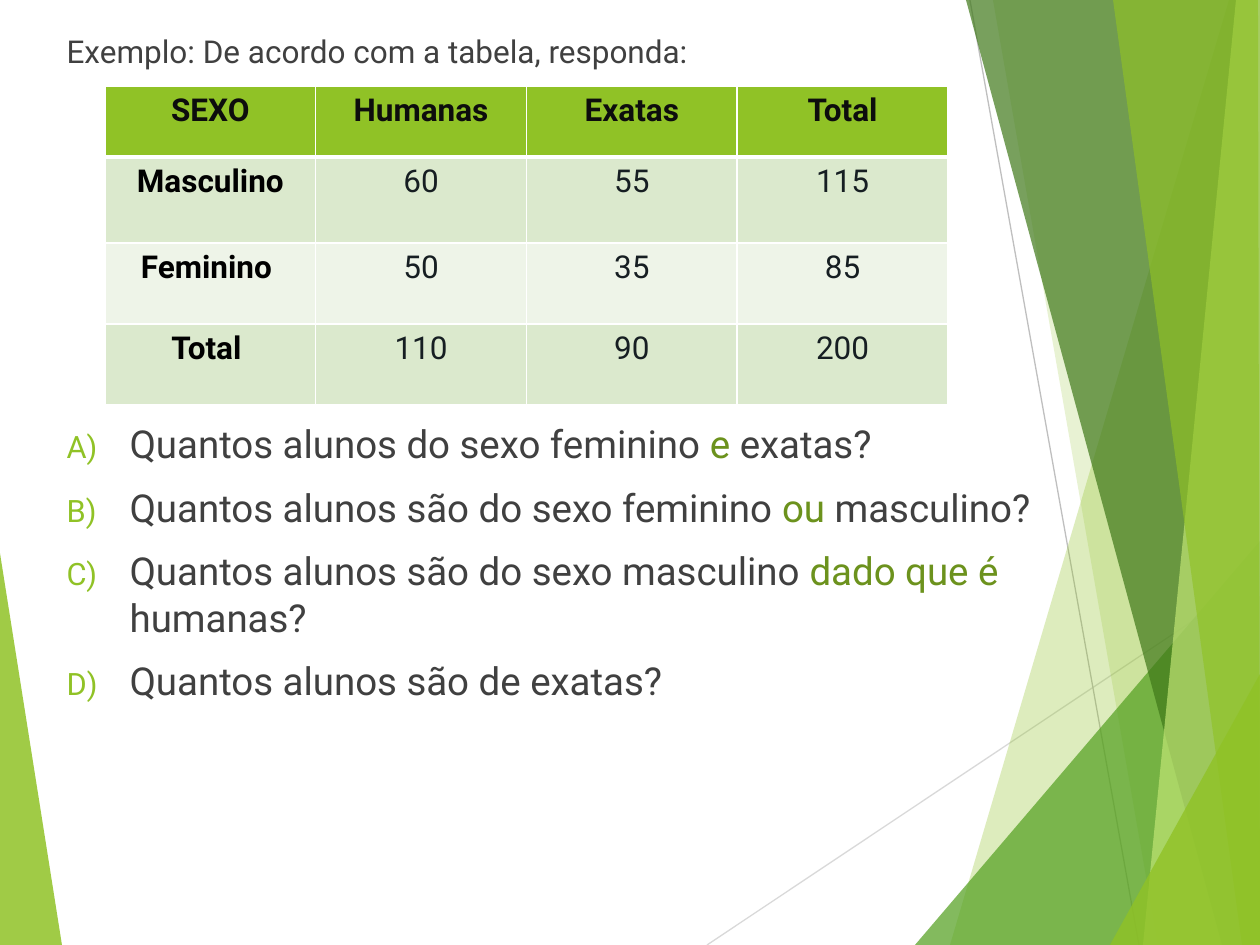
from dataclasses import dataclass

from lxml.etree import SubElement
from pptx import Presentation
from pptx.dml.color import RGBColor
from pptx.enum.shapes import MSO_CONNECTOR as Connector
from pptx.enum.text import MSO_AUTO_SIZE as AutoSize, PP_ALIGN as Align
from pptx.oxml.ns import qn
from pptx.util import Emu, Pt

SCALE = 914400 / 126


@dataclass(frozen=True)
class Theme:
    """Colours, font and type sizes of the slide."""
    font: str = "Roboto"
    green: str = "90C226"
    leaf: str = "54A021"
    forest: str = "3F7819"
    lime: str = "C0E474"
    accent: str = "6C921D"
    body: str = "404040"
    header: str = "0D0D0D"
    label: str = "000000"
    value: str = "161E22"
    band_dark: str = "DBE9CD"
    band_light: str = "EEF4E8"
    border: str = "FFFFFF"
    line_light: str = "D9D9D9"
    line_dark: str = "BFBFBF"
    small: int = 18
    large: int = 22
    space: int = 10


@dataclass(frozen=True)
class Box:
    """A region of the slide in px."""
    left: int
    top: int
    width: int
    height: int


THEME = Theme()
SLIDE = Box(0, 0, 1260, 945)
BODY = Box(54, 26, 1081, 762)
TABLE = Box(105, 86, 843, 319)

LEFT_BLADE = [((0, 553), (62, 945), (0, 945), THEME.green, 85)]
RIGHT_BLADES = [
    ((1229, 0), (950, 945), (1260, 945), (1260, 0), THEME.green, 30),
    ((993, 0), (1158, 945), (1260, 945), (1260, 0), THEME.green, 20),
    ((915, 945), (1260, 541), (1260, 945), THEME.leaf, 72),
    ((966, 0), (1222, 945), (1260, 945), (1260, 0), THEME.forest, 70),
    ((1236, 0), (1143, 945), (1260, 945), (1260, 0), THEME.lime, 70),
    ((1113, 0), (1242, 945), (1260, 945), (1258, 0), THEME.green, 65),
    ((1110, 945), (1260, 674), (1260, 945), THEME.green, 80),
]
RAYS = [(707, 945, 1260, 576, THEME.line_light), (970, 0, 1139, 945, THEME.line_dark)]

ROWS = [
    ("SEXO", "Humanas", "Exatas", "Total"),
    ("Masculino", "60", "55", "115"),
    ("Feminino ", "50", "35", "85"),
    ("Total ", "110", "90", "200"),
]
ROW_HEIGHTS = (71, 86, 81, 81)
INTRO = "Exemplo: De acordo com a tabela, responda:"
QUESTIONS = [
    ("Quantos alunos do sexo feminino ", "e", " exatas?"),
    ("Quantos alunos são do sexo feminino ", "ou ", "masculino?"),
    ("Quantos alunos são do sexo masculino ", "dado que é", " humanas?"),
    ("Quantos alunos são de exatas?",),
]
TABLE_GAP = 200


def px(length):
    """Turn px into EMU."""
    return Emu(round(length * SCALE))


def style(span, size, color, bold=False):
    """Format one run."""
    span.font.name = THEME.font
    span.font.size = Pt(size)
    span.font.bold = bold
    span.font.color.rgb = RGBColor.from_string(color)


def add_blades(page, box, blades):
    """Draw translucent polygons relative to the box."""
    for *points, color, opacity in blades:
        builder = page.shapes.build_freeform(*points[0], scale=SCALE)
        builder.add_line_segments(points[1:], close=True)
        blade = builder.convert_to_shape(px(box.left), px(box.top))
        blade.shadow.inherit = False
        blade.line.fill.background()
        blade.fill.solid()
        blade.fill.fore_color.rgb = RGBColor.from_string(color)
        tint = blade.element.spPr.find(qn("a:solidFill")).find(qn("a:srgbClr"))
        SubElement(tint, qn("a:alpha"), val=str(opacity * 1000))


def add_rays(page, box):
    """Draw the thin straight lines relative to the box."""
    for x1, y1, x2, y2, color in RAYS:
        ray = page.shapes.add_connector(
            Connector.STRAIGHT, px(box.left + x1), px(box.top + y1),
            px(box.left + x2), px(box.top + y2))
        ray.line.color.rgb = RGBColor.from_string(color)
        ray.line.width = Pt(0.75)
        SubElement(ray.element.spPr, qn("a:effectLst"))


def set_bullet(para, numbered):
    """Letter a paragraph, or remove its bullet."""
    props = para._p.get_or_add_pPr()
    indent = px(63) if numbered else 0
    props.set("marL", str(indent))
    props.set("indent", str(-indent))
    if not numbered:
        SubElement(props, qn("a:buNone"))
        return
    color = SubElement(props, qn("a:buClr"))
    SubElement(color, qn("a:srgbClr"), val=THEME.green)
    SubElement(props, qn("a:buSzPct"), val="80000")
    SubElement(props, qn("a:buFont"), typeface=THEME.font)
    SubElement(props, qn("a:buAutoNum"), type="alphaUcParenR")


def fill_body(body, box):
    """Place the body placeholder and write the intro and questions."""
    body.left, body.top = px(box.left), px(box.top)
    body.width, body.height = px(box.width), px(box.height)
    frame = body.text_frame
    frame.word_wrap = True
    frame.auto_size = AutoSize.NONE
    frame.text = INTRO
    intro = frame.paragraphs[0]
    intro.space_before = Pt(THEME.space)
    set_bullet(intro, False)
    style(intro.runs[0], THEME.small, THEME.body)
    for number, parts in enumerate(QUESTIONS):
        para = frame.add_paragraph()
        para.space_before = Pt(THEME.space if number else TABLE_GAP)
        set_bullet(para, True)
        for index, text in enumerate(parts):
            span = para.add_run()
            span.text = text
            style(span, THEME.large, THEME.accent if index == 1 else THEME.body)


def set_borders(cell, header):
    """Give a cell its four white borders."""
    props = cell._tc.get_or_add_tcPr()
    for side in ("lnL", "lnR", "lnT", "lnB"):
        width = Pt(3 if header and side == "lnB" else 1)
        line = SubElement(props, qn(f"a:{side}"), w=str(width))
        SubElement(SubElement(line, qn("a:solidFill")), qn("a:srgbClr"), val=THEME.border)


def add_counts(page, box):
    """Add the table of students inside the box."""
    table = page.shapes.add_table(
        len(ROWS), len(ROWS[0]), px(box.left), px(box.top),
        px(box.width), px(box.height)).table
    for column in table.columns:
        column.width = px(box.width / len(ROWS[0]))
    for r, texts in enumerate(ROWS):
        table.rows[r].height = px(ROW_HEIGHTS[r])
        band = THEME.band_dark if r % 2 else THEME.band_light
        for c, text in enumerate(texts):
            cell = table.cell(r, c)
            set_borders(cell, r == 0)
            cell.fill.solid()
            cell.fill.fore_color.rgb = RGBColor.from_string(band if r else THEME.green)
            cell.text_frame.text = text
            para = cell.text_frame.paragraphs[0]
            para.alignment = Align.CENTER
            color = THEME.header if r == 0 else THEME.value if c else THEME.label
            style(para.runs[0], THEME.small, color, r == 0 or c == 0)


def main():
    """Build and save the deck."""
    deck = Presentation()
    deck.slide_width, deck.slide_height = px(SLIDE.width), px(SLIDE.height)
    page = deck.slides.add_slide(deck.slide_layouts[1])
    title, body = page.shapes.title, page.placeholders[1]
    tree = body.element.getparent()
    tree.remove(title.element)
    add_blades(page, SLIDE, LEFT_BLADE)
    add_rays(page, SLIDE)
    add_blades(page, SLIDE, RIGHT_BLADES)
    tree.append(body.element)
    fill_body(body, BODY)
    add_counts(page, TABLE)
    deck.save("out.pptx")


if __name__ == "__main__":
    main()
